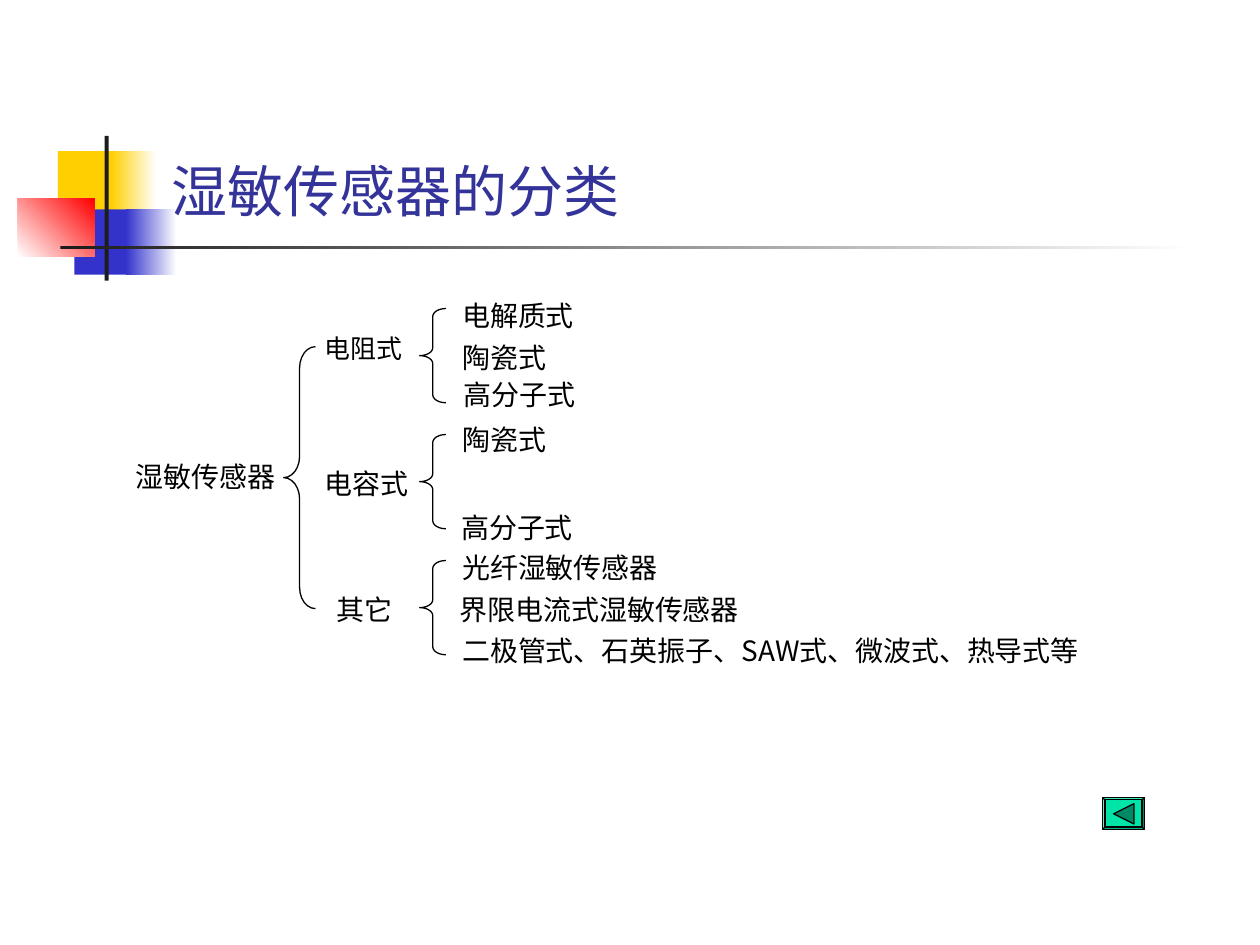
from lxml import etree
from pptx import Presentation
from pptx.dml.color import RGBColor
from pptx.enum.shapes import MSO_SHAPE
from pptx.enum.text import MSO_ANCHOR, PP_ALIGN
from pptx.oxml.ns import qn
from pptx.util import Cm, Pt

RECTANGLE = MSO_SHAPE.RECTANGLE
LEFT_BRACE = MSO_SHAPE.LEFT_BRACE
BEVEL = MSO_SHAPE.BEVEL
TRIANGLE = MSO_SHAPE.ISOSCELES_TRIANGLE
BOTTOM = MSO_ANCHOR.BOTTOM
JUSTIFY = PP_ALIGN.JUSTIFY

FONT = "Noto Sans CJK SC"
BLACK = RGBColor(0x00, 0x00, 0x00)
WHITE = RGBColor(0xFF, 0xFF, 0xFF)
YELLOW = RGBColor(0xFF, 0xCF, 0x01)
BLUE = RGBColor(0x33, 0x33, 0xCC)
RED = RGBColor(0xFF, 0x00, 0x00)
CHARCOAL = RGBColor(0x1C, 0x1C, 0x1C)
NAVY = RGBColor(0x33, 0x33, 0x99)
GREEN = RGBColor(0x00, 0xE4, 0xA8)
DARK_GREEN = RGBColor(0x00, 0x89, 0x65)

prs = Presentation()
prs.slide_width = Cm(25.4)
prs.slide_height = Cm(19.05)
slide = prs.slides.add_slide(prs.slide_layouts[6])


def add_figure(kind, left, top, width, height, fill=None, line=None):
    figure = slide.shapes.add_shape(kind, Cm(left), Cm(top), Cm(width), Cm(height))
    figure.shadow.inherit = False
    if fill is None:
        figure.fill.background()
    else:
        figure.fill.solid()
        figure.fill.fore_color.rgb = fill
    if line is None:
        figure.line.fill.background()
    else:
        figure.line.color.rgb = line
        figure.line.width = Pt(0.75)
    return figure


def add_label(text, left, top, width, height, size, color):
    label = slide.shapes.add_textbox(Cm(left), Cm(top), Cm(width), Cm(height))
    frame = label.text_frame
    frame.word_wrap = True
    frame.margin_left = frame.margin_right = 0
    frame.margin_top = frame.margin_bottom = 0
    paragraph = frame.paragraphs[0]
    paragraph.text = text
    paragraph.font.size = Pt(size)
    paragraph.font.color.rgb = color
    paragraph.font.name = FONT
    defaults = paragraph._p.pPr.find(qn("a:defRPr"))
    etree.SubElement(defaults, qn("a:ea")).set("typeface", FONT)
    return frame


ornaments = [
    (1.17, 3.05, 1.22, 1.32, YELLOW, None, 0),
    (2.24, 3.05, 0.91, 1.32, YELLOW, WHITE, 0),
    (1.5, 4.22, 1.17, 1.32, BLUE, None, 0),
    (2.54, 4.22, 1.02, 1.32, BLUE, WHITE, 0),
    (0.36, 4.01, 1.55, 1.17, WHITE, RED, 45),
    (2.11, 2.74, 0.08, 2.92, CHARCOAL, None, 0),
    (1.22, 4.95, 22.86, 0.08, CHARCOAL, WHITE, 0),
]
for left, top, width, height, start, end, angle in ornaments:
    ornament = add_figure(RECTANGLE, left, top, width, height, start)
    if end is not None:
        ornament.fill.gradient()
        ornament.fill.gradient_angle = angle
        for stop, color in zip(ornament.fill.gradient_stops, (start, end)):
            stop.color.rgb = color

title = add_label("湿敏传感器的分类", 3.45, 2.92, 14.28, 1.6, 32, NAVY)
title.vertical_anchor = BOTTOM

categories = [
    ("湿敏传感器", 2.74, 9.27, 2.97, 16),
    ("电阻式", 6.55, 6.78, 1.9, 14.8),
    ("电容式", 6.55, 9.4, 1.9, 16),
    ("其它", 6.78, 11.94, 1.3, 16),
    ("电解质式", 9.32, 6.02, 2.34, 16),
    ("陶瓷式", 9.32, 6.86, 1.93, 16),
    ("高分子式", 9.35, 7.62, 2.4, 16),
    ("陶瓷式", 9.32, 8.51, 2.36, 16),
    ("高分子式", 9.3, 10.29, 2.4, 16),
    ("光纤湿敏传感器", 9.32, 11.1, 7.01, 16),
    ("界限电流式湿敏传感器", 9.27, 11.94, 8.71, 16),
    ("二极管式、石英振子、SAW式、微波式、热导式等", 9.32, 12.78, 12.9, 16),
]
for text, left, top, width, size in categories:
    category = add_label(text, left, top, width, 0.76, size, BLACK).paragraphs[0]
    category.alignment = JUSTIFY
    if size < 16:
        category.line_spacing = 0.9

braces = [(5.72, 6.99, 0.64, 5.28, 0.67)]
braces += [(8.46, 6.22 + 2.54 * row, 0.53, 1.9, 0.3) for row in range(3)]
for left, top, width, height, curve in braces:
    brace = add_figure(LEFT_BRACE, left, top, width, height, line=BLACK)
    brace.adjustments[0] = curve

back_button = add_figure(BEVEL, 22.23, 16.08, 0.84, 0.64, GREEN, BLACK)
back_button.adjustments[0] = 0.07
back_arrow = add_figure(TRIANGLE, 22.45, 16.2, 0.41, 0.41, DARK_GREEN, BLACK)
back_arrow.rotation = 270

prs.save("out.pptx")
